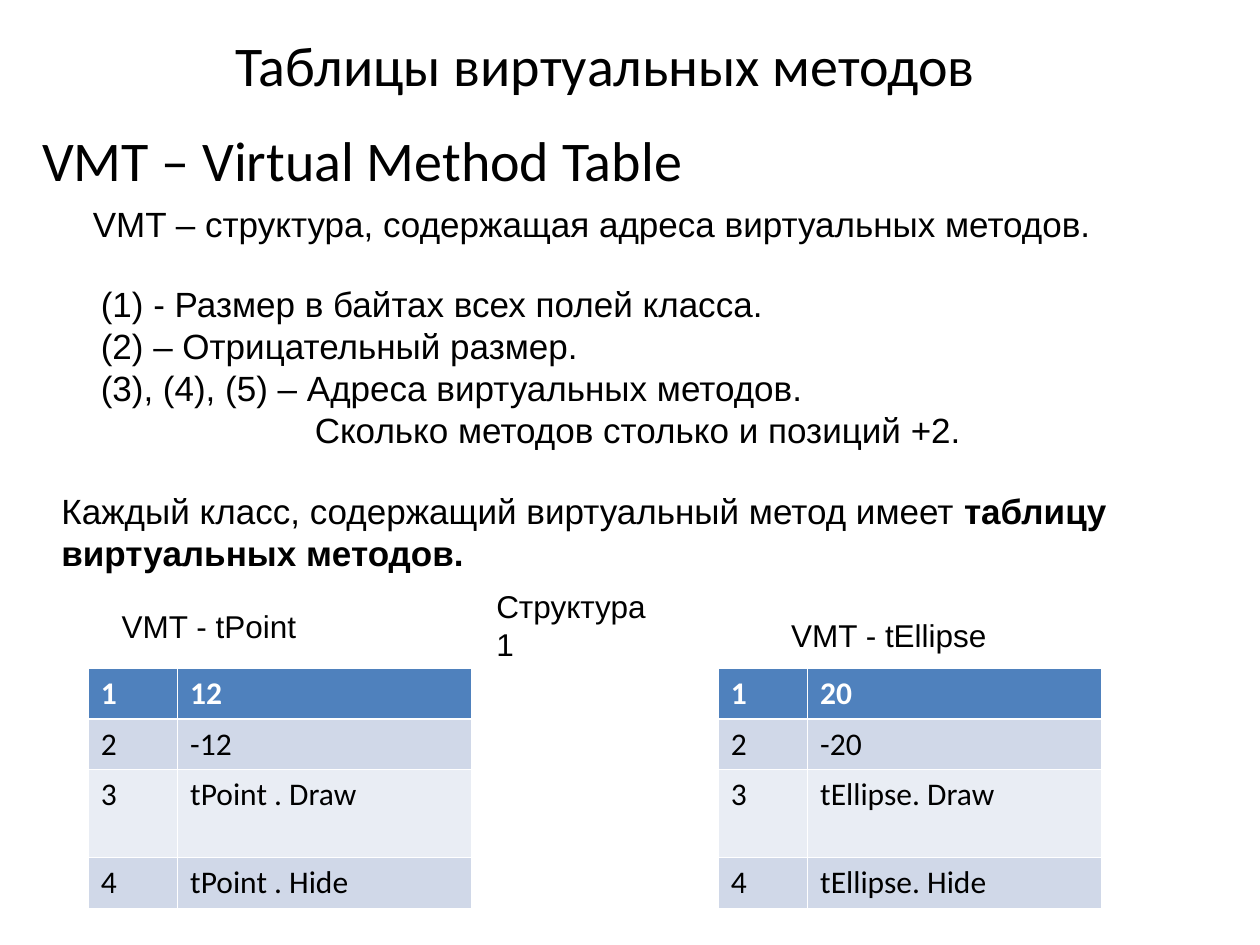
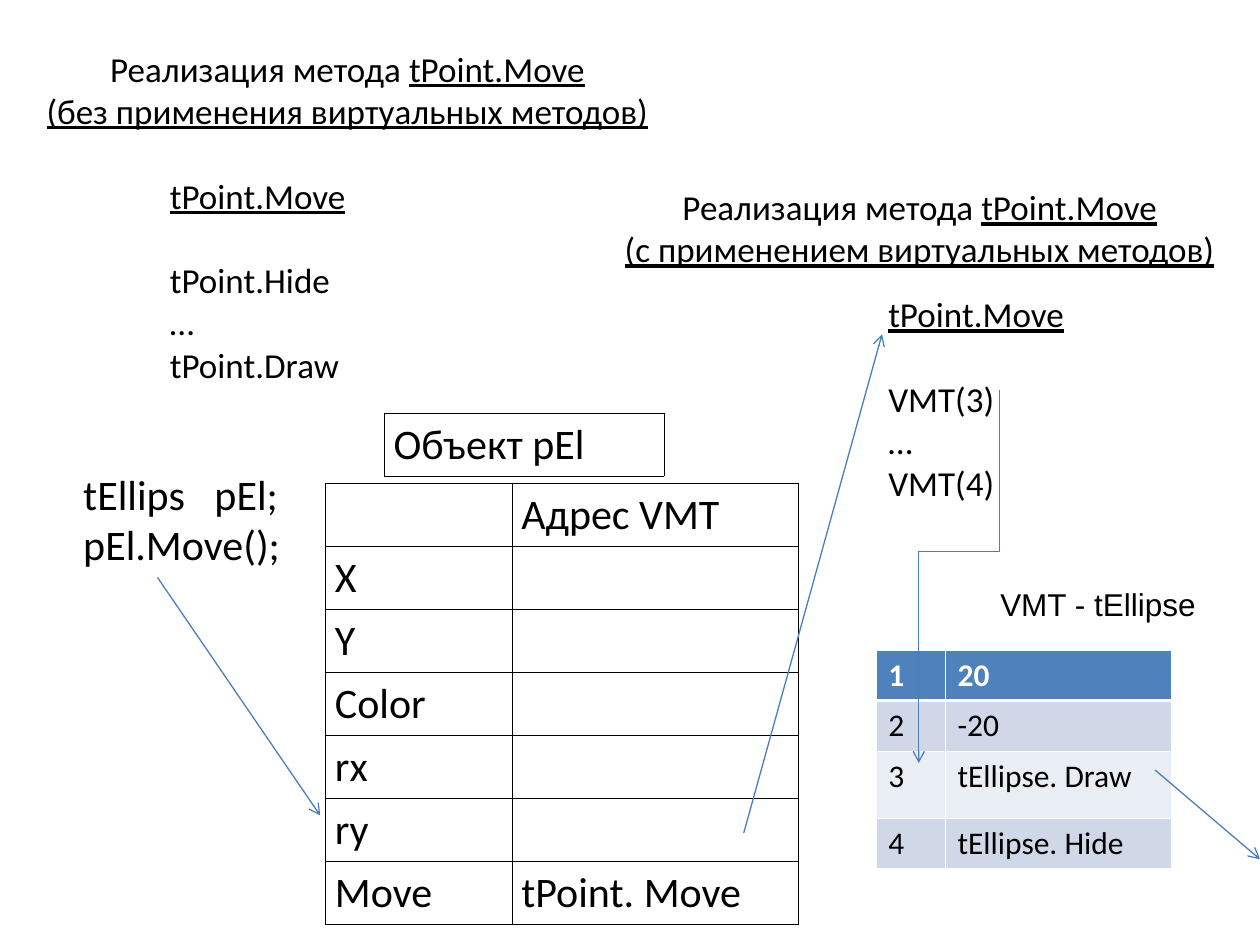
from pptx import Presentation
from pptx.dml.color import RGBColor as Rgb
from pptx.enum.shapes import MSO_CONNECTOR as Link
from pptx.enum.text import MSO_ANCHOR as Anchor, PP_ALIGN as Align
from pptx.oxml.ns import qn
from pptx.util import Pt
from lxml.etree import SubElement as Sub

INK = {"text": "000000", "head": "4F81BD", "dark": "D0D8E8",
       "light": "E9EDF4", "white": "FFFFFF", "line": "4A7EBB"}
SANS, MAIN = "Arial", "Calibri"


def plain(*rows):
    return [{"runs": [(row, "")]} for row in rows]


def heading(tail):
    return [{"runs": [("Реализация метода ", ""), ("tPoint.Move", "u")]},
            {"runs": [(tail, "u")]}]


def code(first, last):
    return [{"runs": [("tPoint.Move", "u")]},
            {"runs": [(first, "")], "gap": 24.4}] + plain("…", last)


def vmt(name, size, dot):
    return [("1", str(size)), ("2", str(-size)),
            ("3", f"{name}{dot}Draw"), ("4", f"{name}{dot}Hide")]


STEPS = plain("(1) - Размер в байтах всех полей класса.",
              "(2) – Отрицательный размер.",
              "(3), (4), (5) – Адреса виртуальных методов.")
STEPS += [{"runs": [("Сколько методов столько и позиций +2.", "")],
           "indent": 122.3}]
RULE = [{"runs": [("Каждый класс, содержащий виртуальный метод имеет ", ""),
                  ("таблицу виртуальных методов.", "b")]}]
CALL = [{"runs": [("tEllips\tpEl;", "")], "tab": 75}] + plain("pEl.Move();")

TITLE = {"size": 32, "font": MAIN}
BODY = {"size": 20, "font": SANS}
LABEL = {"size": 18, "font": SANS, "wrap": False}
CODE = {"size": 20, "font": MAIN}
MID = {"align": Align.CENTER, "anchor": Anchor.MIDDLE}

POINT = vmt("tPoint", 12, " . ")
OVAL = vmt("tEllipse", 20, ". ")
FIELDS = [("", "Адрес VMT"), ("X", ""), ("Y", ""), ("Color", ""),
          ("rx", ""), ("ry", ""), ("Move", "tPoint. Move")]

PAGES = [
    {"texts": [
        ((56, 16.5, 580, 40), plain("Таблицы виртуальных методов"), TITLE | MID),
        ((17, 68, 680, 461), plain("VMT – Virtual Method Table"), TITLE),
        ((46, 112, 587, 32),
         plain("VMT – структура, содержащая адреса виртуальных методов."),
         BODY | {"wrap": False}),
        ((50.5, 158, 512, 104), STEPS, BODY),
        ((28, 276, 675, 55), RULE, BODY),
        ((62.5, 343.5, 119.5, 29), plain("VMT - tPoint"), LABEL),
        ((445, 348.5, 126, 29), plain("VMT - tEllipse"), LABEL),
        ((276.5, 332, 114.5, 29), plain("Структура 1"), LABEL)],
     "vmts": [(50.5, 382, (51, 168), 50.4, POINT),
              (410.5, 382, (51, 168), 50.4, OVAL)],
     "grids": [], "arrows": [], "bends": []},
    {"texts": [
        ((16.5, 22.5, 364, 57), heading("(без применения виртуальных методов)"),
         CODE | MID),
        ((90, 96, 186, 127.5), code("tPoint.Hide", "tPoint.Draw"), CODE),
        ((343.5, 101.5, 364, 57), heading("(с применением виртуальных методов)"),
         CODE | MID),
        ((500.5, 163.5, 140.5, 127.5), code("VMT(3)", "VMT(4)"), CODE),
        ((40.5, 264, 127, 65), CALL, {"size": 24, "font": MAIN, "wrap": False}),
        ((564.5, 331, 126, 29), plain("VMT - tEllipse"), LABEL)],
     "vmts": [(500.5, 371.5, (39.5, 129.5), 38.2, OVAL)],
     "grids": [(219.5, 236, (160,), [("Объект pEl",)]),
               (186, 276, (106.5, 163.5), FIELDS)],
     "arrows": [(90, 330, 183, 466), (425, 476, 504, 191), (660, 440, 720, 491)],
     "bends": [((441.5, 306.5, 654.5, 352.5), 90, 43300)]},
]


def write(frame, paras, size, font, align=Align.LEFT, color="text", bold=False):
    for i, item in enumerate(paras):
        para = frame.paragraphs[0] if i == 0 else frame.add_paragraph()
        para.alignment = align
        para.font.size = Pt(size)
        if "gap" in item:
            para.space_before = Pt(item["gap"])
        props = para._p.get_or_add_pPr()
        if "indent" in item:
            props.set("marL", str(Pt(item["indent"])))
        if "tab" in item:
            stops = Sub(props, qn("a:tabLst"))
            Sub(stops, qn("a:tab"), pos=str(Pt(item["tab"])), algn="l")
        for text, style in item["runs"]:
            run = para.add_run()
            run.text = text
            run.font.size = Pt(size)
            run.font.name = font
            run.font.bold = bold or style == "b"
            run.font.underline = style == "u"
            run.font.color.rgb = Rgb.from_string(INK[color])


def label(slide, box, paras, size, font, wrap=True, align=Align.LEFT,
          anchor=Anchor.TOP):
    frame = slide.shapes.add_textbox(*map(Pt, box)).text_frame
    frame.word_wrap = wrap
    frame.vertical_anchor = anchor
    write(frame, paras, size, font, align)


def edge(cell, color, widths):
    props = cell._tc.get_or_add_tcPr()
    for side, width in zip("LRTB", widths):
        line = Sub(props, qn(f"a:ln{side}"), w=str(Pt(width)))
        fill = Sub(line, qn("a:solidFill"))
        Sub(fill, qn("a:srgbClr"), val=INK[color])


def grid(slide, left, top, cols, rows, data):
    box = map(Pt, (left, top, sum(cols), sum(rows)))
    table = slide.shapes.add_table(len(rows), len(cols), *box).table
    table.first_row = table.horz_banding = False
    for col, width in zip(table.columns, cols):
        col.width = Pt(width)
    for row, height in zip(table.rows, rows):
        row.height = Pt(height)
    for r, line in enumerate(data):
        for c, text in enumerate(line):
            yield r, table.cell(r, c), plain(text) if text else []


def draw_vmt(slide, left, top, cols, tall, data):
    rows = (28.8, 28.8, tall, 28.8)
    for r, cell, paras in grid(slide, left, top, cols, rows, data):
        head = r == 0
        edge(cell, "white", (0.45, 0.45, 1.5 if r == 1 else 0.45,
                             1.5 if head else 0.45))
        cell.fill.solid()
        shade = "head" if head else "dark" if r % 2 else "light"
        cell.fill.fore_color.rgb = Rgb.from_string(INK[shade])
        write(cell.text_frame, paras, 18, MAIN,
              color="white" if head else "text", bold=head)


def draw_grid(slide, left, top, cols, data):
    for _, cell, paras in grid(slide, left, top, cols, [36] * len(data), data):
        edge(cell, "text", [0.45] * 4)
        cell.fill.background()
        cell.margin_left = cell.margin_right = Pt(5.4)
        write(cell.text_frame, paras, 24, MAIN, Align.JUSTIFY)


def arrow(slide, ends, kind=Link.STRAIGHT):
    link = slide.shapes.add_connector(kind, *map(Pt, ends))
    link.line.color.rgb = Rgb.from_string(INK["line"])
    link.line.width = Pt(0.75)
    Sub(link.line._get_or_add_ln(), qn("a:tailEnd"), type="arrow")
    Sub(link._element.spPr, qn("a:effectLst"))
    return link


def bend(slide, ends, turn, mid):
    props = arrow(slide, ends, Link.ELBOW)._element.spPr
    props.find(qn("a:xfrm")).set("rot", str(turn * 60000))
    geom = props.find(qn("a:prstGeom"))
    marks = geom.find(qn("a:avLst"))
    if marks is None:
        marks = Sub(geom, qn("a:avLst"))
    Sub(marks, qn("a:gd"), name="adj1", fmla=f"val {mid}")


def main():
    deck = Presentation()
    deck.slide_width, deck.slide_height = Pt(720), Pt(540)
    for page in PAGES:
        slide = deck.slides.add_slide(deck.slide_layouts[6])
        for box, paras, style in page["texts"]:
            label(slide, box, paras, **style)
        for item in page["grids"]:
            draw_grid(slide, *item)
        for item in page["vmts"]:
            draw_vmt(slide, *item)
        for ends in page["arrows"]:
            arrow(slide, ends)
        for item in page["bends"]:
            bend(slide, *item)
    deck.save("out.pptx")


if __name__ == "__main__":
    main()
